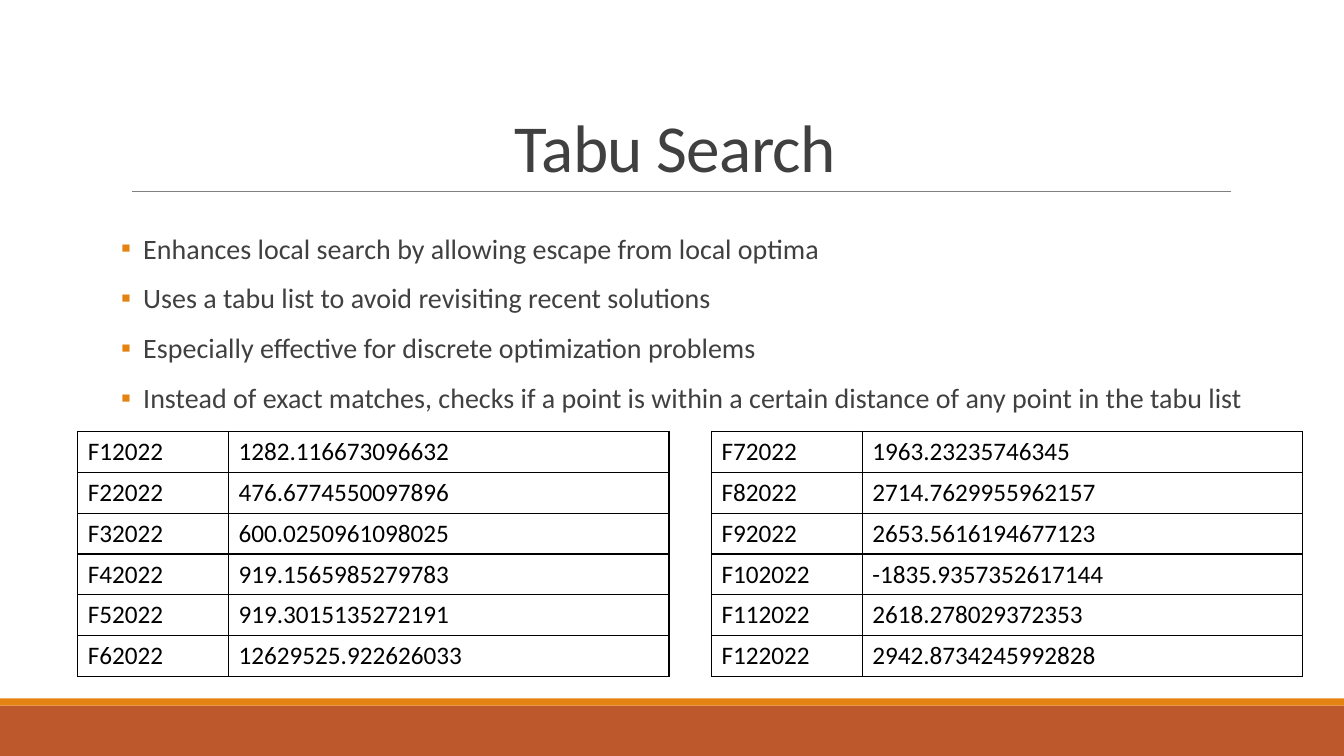
from dataclasses import dataclass

from lxml import etree
from pptx import Presentation
from pptx.dml.color import RGBColor
from pptx.enum import shapes, text
from pptx.oxml import ns
from pptx.util import Cm, Pt

FONT = "Calibri"
COLORS = {
    "text": "404040",
    "cell": "000000",
    "rule": "808080",
    "band": "BD582C",
    "accent": "E48312",
}
SLIDE_W, SLIDE_H = 33.87, 19.05
TABLE_TOP, ROW_H = 10.87, 1.03
COLUMN_WIDTHS = (3.8, 11.1)
BULLET_INDENT = 0.56

BULLETS = (
    "Enhances local search by allowing escape from local optima",
    "Uses a tabu list to avoid revisiting recent solutions",
    "Especially effective for discrete optimization problems",
    "Instead of exact matches, checks if a point is within a certain distance "
    "of any point in the tabu list",
)


@dataclass
class Band:
    top: float
    height: float
    color: str


@dataclass
class ResultTable:
    left: float
    first_function: int
    values: tuple[str, ...]


BANDS = (Band(17.78, 1.27, "band"), Band(17.6, 0.18, "accent"))

RESULT_TABLES = (
    ResultTable(1.96, 1, (
        "1282.116673096632", "476.6774550097896", "600.0250961098025",
        "919.1565985279783", "919.3015135272191", "12629525.922626033",
    )),
    ResultTable(17.93, 7, (
        "1963.23235746345", "2714.7629955962157", "2653.5616194677123",
        "-1835.9357352617144", "2618.278029372353", "2942.8734245992828",
    )),
)


def rgb(name: str) -> RGBColor:
    return RGBColor.from_string(COLORS[name])


def add_xml(parent, tag: str, **attributes: str):
    return etree.SubElement(parent, ns.qn(tag), attributes)


def format_runs(p, size: float, color: str) -> None:
    for r in p.runs:
        r.font.name = FONT
        r.font.size = Pt(size)
        r.font.color.rgb = rgb(color)


def place(sp, left: float, top: float, width: float, height: float) -> None:
    sp.left, sp.top, sp.width, sp.height = map(Cm, (left, top, width, height))


def draw_band(slide, band: Band) -> None:
    sp = slide.shapes.add_shape(
        shapes.MSO_SHAPE.RECTANGLE, 0, Cm(band.top), Cm(SLIDE_W), Cm(band.height)
    )
    sp.shadow.inherit = False
    sp.fill.solid()
    sp.fill.fore_color.rgb = rgb(band.color)
    sp.line.fill.background()


def draw_rule(slide) -> None:
    line = slide.shapes.add_connector(
        shapes.MSO_CONNECTOR.STRAIGHT, Cm(3.33), Cm(4.83), Cm(31.01), Cm(4.83)
    )
    line.line.color.rgb = rgb("rule")
    line.line.width = Pt(0.5)
    add_xml(line._element.spPr, "a:effectLst")


def fill_title(sp) -> None:
    place(sp, 3.05, 0.79, 27.94, 4.04)
    tf = sp.text_frame
    tf.text = "Tabu Search"
    tf.auto_size = text.MSO_AUTO_SIZE.NONE
    tf.vertical_anchor = text.MSO_ANCHOR.BOTTOM
    p = tf.paragraphs[0]
    p.alignment = text.PP_ALIGN.CENTER
    p.line_spacing = 0.85
    format_runs(p, 48, "text")
    p.runs[0].font._element.set("spc", "-50")


def fill_body(sp) -> None:
    place(sp, 3.05, 5.79, 28.85, 11.18)
    tf = sp.text_frame
    tf.text = "\n".join(BULLETS)
    tf.auto_size = text.MSO_AUTO_SIZE.NONE
    tf.margin_left = tf.margin_right = 0
    for p in tf.paragraphs:
        p.line_spacing = 0.9
        p.space_before = Pt(12)
        p.space_after = Pt(2)
        format_runs(p, 20, "text")
        properties = p._p.get_or_add_pPr()
        properties.set("marL", str(Cm(BULLET_INDENT)))
        properties.set("indent", str(-Cm(BULLET_INDENT)))
        bullet_color = add_xml(properties, "a:buClr")
        add_xml(bullet_color, "a:srgbClr", val=COLORS["accent"])
        add_xml(properties, "a:buFont", typeface=FONT)
        add_xml(properties, "a:buChar", char="▪")


def fill_cell(cell, value: str) -> None:
    cell.text = value
    format_runs(cell.text_frame.paragraphs[0], 18, "cell")
    properties = cell._tc.get_or_add_tcPr()
    for side in ("a:lnL", "a:lnR", "a:lnT", "a:lnB"):
        border = add_xml(properties, side, w=str(Pt(1)))
        add_xml(add_xml(border, "a:solidFill"), "a:srgbClr", val=COLORS["cell"])
    cell.fill.background()


def draw_table(slide, results: ResultTable) -> None:
    rows = len(results.values)
    table = slide.shapes.add_table(
        rows, len(COLUMN_WIDTHS), Cm(results.left), Cm(TABLE_TOP),
        Cm(sum(COLUMN_WIDTHS)), Cm(ROW_H * rows),
    ).table
    table.first_row = table.horz_banding = False
    for column, width in zip(table.columns, COLUMN_WIDTHS):
        column.width = Cm(width)
    for i, value in enumerate(results.values):
        table.rows[i].height = Cm(ROW_H)
        fill_cell(table.cell(i, 0), f"F{results.first_function + i}2022")
        fill_cell(table.cell(i, 1), value)


def main() -> None:
    prs = Presentation()
    prs.slide_width, prs.slide_height = Cm(SLIDE_W), Cm(SLIDE_H)
    slide = prs.slides.add_slide(prs.slide_layouts[1])
    for band in BANDS:
        draw_band(slide, band)
    draw_rule(slide)
    fill_title(slide.shapes.title)
    fill_body(slide.placeholders[1])
    for results in RESULT_TABLES:
        draw_table(slide, results)
    prs.save("out.pptx")


if __name__ == "__main__":
    main()
